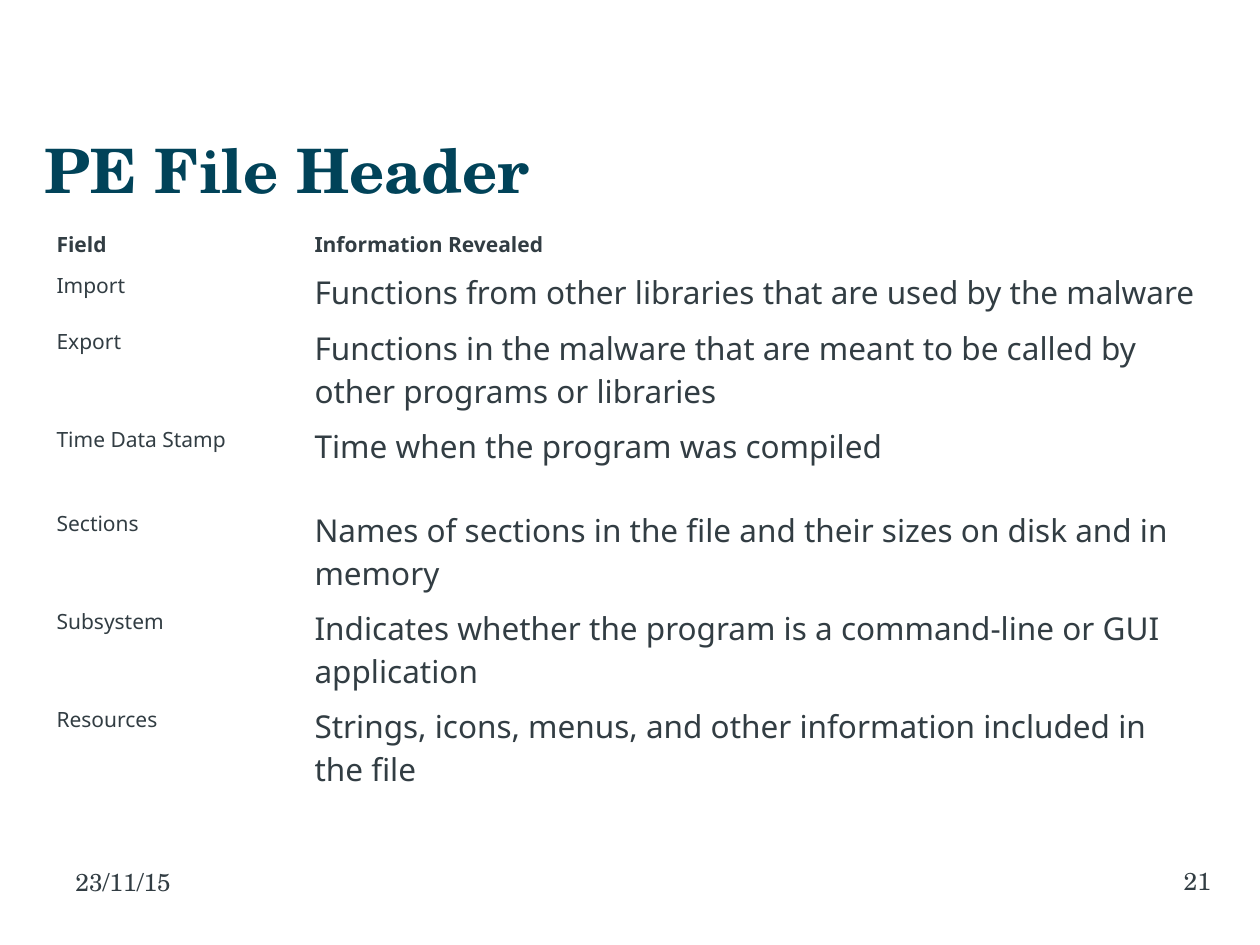
from pptx import Presentation
from pptx import util as u
from pptx.dml.color import RGBColor
from pptx.enum import text

PX = 914400 // 126
COLORS = {"title": "014359", "body": "323D43", "background": "FFFFFF"}
SERIF = "TeX Gyre Schola"
SANS = "Noto Sans"

COLUMN_WIDTHS = [258, 912]
HEADINGS = ("Field", "Information Revealed")
FIELDS = [
    ("Import", "Functions from other libraries that are used by the malware", 56),
    ("Export", "Functions in the malware that are meant to be called by "
               "other programs or libraries", 98),
    ("Time Data Stamp", "Time when the program was compiled", 84),
    ("Sections", "Names of sections in the file and their sizes on disk and in memory", 98),
    ("Subsystem", "Indicates whether the program is a command-line or GUI application", 98),
    ("Resources", "Strings, icons, menus, and other information included in the file", 98),
]
HEADING_HEIGHT = 41


def px(length):
    return u.Emu(length * PX)


def color(name):
    return RGBColor.from_string(COLORS[name])


def add_run(paragraph, words, size, font, color_name="body", bold=False):
    run = paragraph.add_run()
    run.text = words
    run.font.size = u.Pt(size)
    run.font.name = font
    run.font.bold = bold
    run.font.color.rgb = color(color_name)


def add_text(slide, box, words, size, color_name="body", bold=False,
             align=text.PP_ALIGN.LEFT, anchor=text.MSO_ANCHOR.TOP):
    frame = slide.shapes.add_textbox(*map(px, box)).text_frame
    frame.word_wrap = True
    frame.vertical_anchor = anchor
    paragraph = frame.paragraphs[0]
    paragraph.alignment = align
    add_run(paragraph, words, size, SERIF, color_name, bold)
    return frame


def fill_cell(cell, words, size, bold):
    cell.fill.solid()
    cell.fill.fore_color.rgb = color("background")
    add_run(cell.text_frame.paragraphs[0], words, size, SANS, bold=bold)


def add_field_table(slide, left, top):
    rows = [(*HEADINGS, HEADING_HEIGHT), *FIELDS]
    height = sum(row[-1] for row in rows)
    frame = slide.shapes.add_table(len(rows), len(COLUMN_WIDTHS), px(left), px(top),
                                   px(sum(COLUMN_WIDTHS)), px(height))
    table = frame.table
    table.horz_banding = False
    for column, width in zip(table.columns, COLUMN_WIDTHS):
        column.width = px(width)
    for index, (field, information, row_height) in enumerate(rows):
        heading = index == 0
        table.rows[index].height = px(row_height)
        fill_cell(table.cell(index, 0), field, 12, heading)
        fill_cell(table.cell(index, 1), information, 12 if heading else 18, heading)


def main():
    presentation = Presentation()
    presentation.slide_width = u.Inches(10)
    presentation.slide_height = u.Inches(7.5)
    slide = presentation.slides.add_slide(presentation.slide_layouts[6])

    title = add_text(slide, (44, 125, 1170, 89), "PE File Header", 35, "title",
                     bold=True, anchor=text.MSO_ANCHOR.MIDDLE)
    title.margin_left = 0
    add_field_table(slide, 44, 224)
    add_text(slide, (63, 861, 294, 66), "23/11/15", 14)
    number = add_text(slide, (917, 860, 294, 66), "21", 14, align=text.PP_ALIGN.RIGHT)
    number.margin_right = 0

    presentation.save("out.pptx")


if __name__ == "__main__":
    main()
